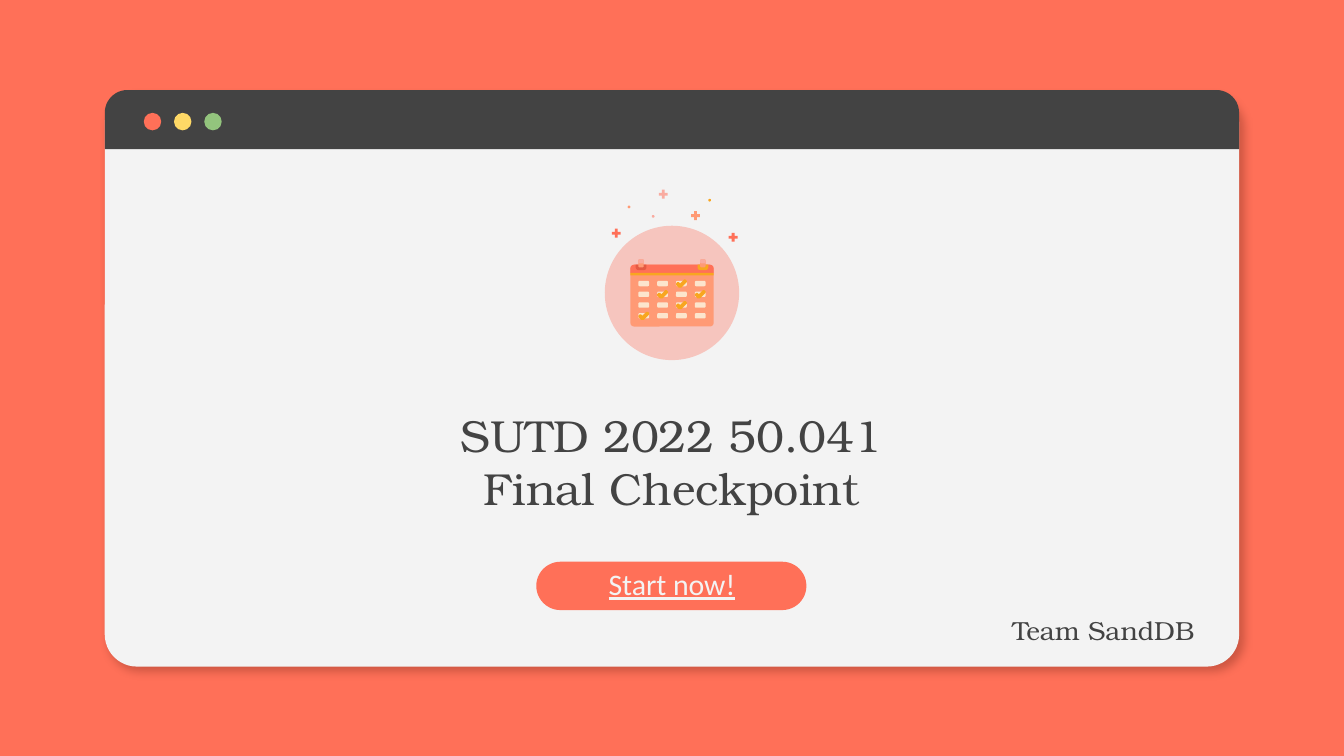
"""Build the title slide: a browser window with a calendar badge and a start button."""
from lxml import etree
from pptx import Presentation
from pptx import util as u
from pptx.dml.color import RGBColor
from pptx.enum import shapes, text
from pptx.oxml import ns

MS = shapes.MSO_SHAPE
WIDTH = 10
CORAL, DARK, LIGHT = "FF7058", "434343", "F3F3F3"
PEACH, PINK, AMBER, CREAM = "FF9A75", "F9ABA0", "F8A620", "FCE5CD"
SERIF, SANS = "TeX Gyre Bonum", "Calibri"

DOTS = [CORAL, "FFD966", "93C47D"]
CALENDAR = [
    (MS.OVAL, (4.5, 1.68, 1, 1), "F6C5BE", ()),
    (MS.ROUNDED_RECTANGLE, (4.69, 1.97, 0.62, 0.46), PEACH, (0.06,)),
    (MS.ROUND_2_SAME_RECTANGLE, (4.69, 1.97, 0.62, 0.06), CORAL, (0.45, 0)),
]
RINGS = [(4.73, "E55A43"), (5.19, AMBER)]
BAND = (4.69, 2.03, 0.62, 0.02)
CHECKED = [(0, 2), (1, 1), (1, 3), (2, 2), (3, 0)]
CHECK = [(0.07, 0), (0.06, 0), (0.03, 0.03), (0.02, 0.02), (0.01, 0.02), (0, 0.03),
         (0, 0.04), (0.02, 0.06), (0.04, 0.06), (0.08, 0.02), (0.08, 0.01)]
PLUSES = [(4.54, 1.69, CORAL), (5.41, 1.72, CORAL), (5.13, 1.56, PEACH), (4.89, 1.4, PINK)]
SPARKS = [(5.27, 1.48, AMBER), (4.85, 1.6, PINK), (4.67, 1.53, PEACH)]
TITLES = [
    ("SUTD 2022 50.041 Final Checkpoint", (2.97, 2.94, 4.05, 0.98), 24),
    ("Team SandDB", (6.55, 4.46, 3.32, 0.46), 14),
]


def rgb(color):
    return RGBColor.from_string(color)


def paint(sp, color):
    sp.shadow.inherit = False
    sp.fill.solid()
    sp.fill.fore_color.rgb = rgb(color)
    sp.line.fill.background()
    return sp


def add(parent, kind, box, color, adj=()):
    sp = parent.shapes.add_shape(kind, *map(u.Inches, box))
    for i, value in enumerate(adj):
        sp.adjustments[i] = value
    return paint(sp, color)


def write(sp, words, size, font, color, anchor, inset):
    tf = sp.text_frame
    tf.word_wrap = True
    tf.vertical_anchor = anchor
    tf.margin_left = tf.margin_right = u.Inches(0.1)
    tf.margin_top = tf.margin_bottom = u.Inches(inset)
    tf.text = words
    p = tf.paragraphs[0]
    p.alignment = text.PP_ALIGN.CENTER
    r = p.runs[0]
    r.font.size, r.font.name = u.Pt(size), font
    r.font.color.rgb = rgb(color)
    return r


def cast_shadow(sp, color, alpha, blur, dist, angle):
    effects = sp._element.spPr.find(ns.qn("a:effectLst"))
    shadow = etree.SubElement(effects, ns.qn("a:outerShdw"), blurRad=str(u.Pt(blur)),
                              dist=str(u.Pt(dist)), dir=str(angle * 60000),
                              algn="bl", rotWithShape="0")
    tint = etree.SubElement(shadow, ns.qn("a:srgbClr"), val=color)
    etree.SubElement(tint, ns.qn("a:alpha"), val=str(alpha * 1000))


def add_window(s):
    grp = s.shapes.add_group_shape()
    pane = add(grp, MS.ROUNDED_RECTANGLE, (0.78, 0.68, 8.44, 4.28), LIGHT, (0.056,))
    cast_shadow(pane, "963A2A", 47, 4.5, 3.8, 49)
    add(grp, MS.ROUND_2_SAME_RECTANGLE, (0.78, 0.67, 8.44, 0.44), DARK, (0.383, 0))
    for i, color in enumerate(DOTS):
        add(grp, MS.OVAL, (1.07 + 0.225 * i, 0.84, 0.13, 0.13), color)


def add_calendar(s):
    grp = s.shapes.add_group_shape()
    for part in CALENDAR:
        add(grp, *part)
    for x, color in RINGS:
        add(grp, MS.ROUND_2_SAME_RECTANGLE, (x, 1.97, 0.08, 0.04), color, (0, 0.5))
    for x, _ in RINGS:
        for height, color in ((0.06, PEACH), (0.03, PINK)):
            add(grp, MS.ROUNDED_RECTANGLE, (x + 0.02, 1.93, 0.04, height), color, (0.25,))
    add(grp, MS.RECTANGLE, BAND, AMBER)
    cells = {(row, col): (4.75 + 0.14 * col, 2.09 + 0.08 * row)
             for row in range(4) for col in range(4)}
    for x, y in cells.values():
        add(grp, MS.ROUNDED_RECTANGLE, (x, y, 0.08, 0.04), CREAM, (0.25,))
    for cell in CHECKED:
        x, y = cells[cell]
        points = [(u.Inches(x + dx), u.Inches(y - 0.01 + dy)) for dx, dy in CHECK]
        outline = grp.shapes.build_freeform(*points[0])
        outline.add_line_segments(points[1:], close=True)
        paint(outline.convert_to_shape(), AMBER)
    for x, y, color in PLUSES:
        add(grp, MS.MATH_PLUS, (x, y, 0.09, 0.09), color, (0.235,))
    for x, y, color in SPARKS:
        add(grp, MS.OVAL, (x, y, 0.02, 0.02), color)


def main():
    prs = Presentation()
    prs.slide_width, prs.slide_height = u.Inches(WIDTH), u.Inches(WIDTH * 9 / 16)
    s = prs.slides.add_slide(prs.slide_layouts[6])
    s.background.fill.solid()
    s.background.fill.fore_color.rgb = rgb(CORAL)

    add_window(s)
    add(s, MS.ROUNDED_RECTANGLE, (3.99, 4.18, 2.01, 0.36), CORAL, (0.5,))
    label = add(s, MS.RECTANGLE, (4.3, 4.21, 1.4, 0.3), CORAL)
    r = write(label, "Start now!", 16, SANS, LIGHT, text.MSO_ANCHOR.TOP, 0)
    r.font.underline = True
    add_calendar(s)
    for words, box, size in TITLES:
        sp = s.shapes.add_textbox(*map(u.Inches, box))
        write(sp, words, size, SERIF, DARK, text.MSO_ANCHOR.MIDDLE, 0.1)
    prs.save("out.pptx")


if __name__ == "__main__":
    main()
